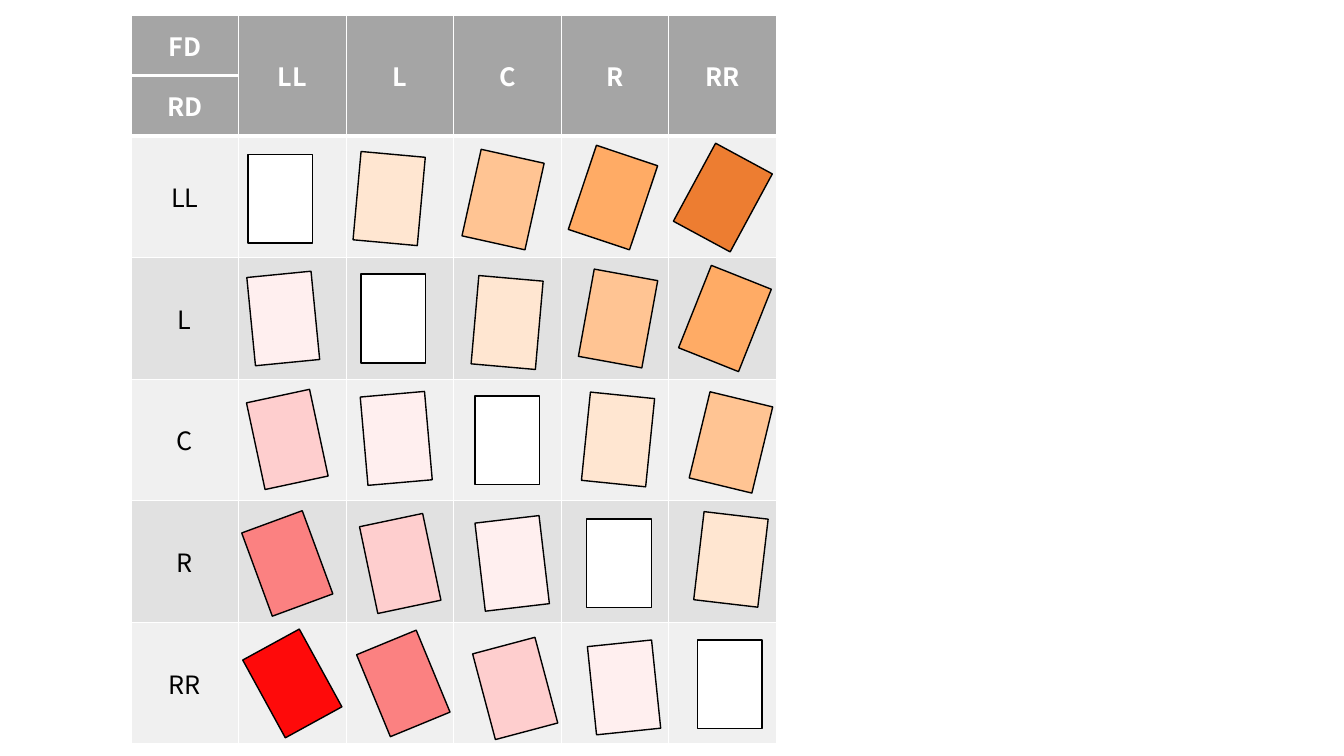
"""Build a slide with a matrix of FD and RD levels holding tilted, shaded cards."""
from typing import NamedTuple

from lxml.etree import SubElement
from pptx import Presentation
from pptx.dml.color import RGBColor
from pptx.enum.shapes import MSO_SHAPE as Shape
from pptx.enum.text import MSO_ANCHOR as Anchor, PP_ALIGN as Align
from pptx.oxml.ns import qn
from pptx.util import Inches, Pt

LEVELS = ["LL", "L", "C", "R", "RR"]
HEADER_ROWS = 2
HEADER_FILL = "A5A5A5"
BAND_FILLS = ["F0F0F0", "E1E1E1"]
MATRIX_LEFT, MATRIX_TOP = 1.3, 0.15
MATRIX_WIDTH, MATRIX_HEIGHT = 6.4, 7.23
HEADER_HEIGHT = 0.6
CARD_WIDTH, CARD_HEIGHT = 0.64, 0.88
CARD_FILLS = {
    -4: "FE0A0A", -3: "FB8181", -2: "FECECE", -1: "FFEFEF", 0: "FFFFFF",
    1: "FFE6D1", 2: "FFC493", 3: "FFAB65", 4: "ED7D31",
}


class Card(NamedTuple):
    left: float
    top: float
    tilt: float = 0


CARD_ROWS = [
    [Card(2.46, 1.53), Card(3.54, 1.53, 5.2), Card(4.67, 1.54, 12.5),
     Card(5.76, 1.52, 18.5), Card(6.85, 1.52, 28.4)],
    [Card(2.49, 2.72, 354.4), Card(3.58, 2.72), Card(4.71, 2.76, 5),
     Card(5.81, 2.72, 10.3), Card(6.87, 2.72, 21.7)],
    [Card(2.53, 3.92, 347.9), Card(3.61, 3.91, 355), Card(4.71, 3.93),
     Card(5.81, 3.92, 5.8), Card(6.93, 3.95, 13.6)],
    [Card(2.53, 5.15, 339.8), Card(3.65, 5.15, 348.1), Card(4.76, 5.15, 353.3),
     Card(5.82, 5.15), Card(6.93, 5.11, 6.7)],
    [Card(2.58, 6.34, 331.3), Card(3.68, 6.34, 337.6), Card(4.79, 6.39, 345.1),
     Card(5.87, 6.38, 354.1), Card(6.92, 6.35)],
]


def color(hex_value: str) -> RGBColor:
    return RGBColor.from_string(hex_value)


def paint(target, hex_value: str) -> None:
    target.fill.solid()
    target.fill.fore_color.rgb = color(hex_value)


def set_borders(cell, bottom_width: float) -> None:
    properties = cell._tc.get_or_add_tcPr()
    widths = {"a:lnL": 1, "a:lnR": 1, "a:lnT": 1, "a:lnB": bottom_width}
    for tag, width in widths.items():
        border = SubElement(properties, qn(tag), w=str(Pt(width)))
        solid = SubElement(border, qn("a:solidFill"))
        SubElement(solid, qn("a:srgbClr"), val="FFFFFF")


def write_label(cell, label: str, is_header: bool) -> None:
    cell.text = label
    cell.vertical_anchor = Anchor.MIDDLE
    paragraph = cell.text_frame.paragraphs[0]
    paragraph.alignment = Align.CENTER
    font = paragraph.runs[0].font
    font_format = {"name": "Noto Sans CJK KR", "size": Pt(18), "bold": is_header}
    for attribute, value in font_format.items():
        setattr(font, attribute, value)
    font.color.rgb = color("FFFFFF" if is_header else "000000")


def draw_matrix(slide) -> None:
    row_count, column_count = HEADER_ROWS + len(LEVELS), 1 + len(LEVELS)
    matrix = slide.shapes.add_table(
        row_count, column_count, Inches(MATRIX_LEFT), Inches(MATRIX_TOP),
        Inches(MATRIX_WIDTH), Inches(MATRIX_HEIGHT)).table
    level_height = (MATRIX_HEIGHT - HEADER_ROWS * HEADER_HEIGHT) / len(LEVELS)
    for column in matrix.columns:
        column.width = Inches(MATRIX_WIDTH / column_count)
    for index, row in enumerate(matrix.rows):
        is_header = index < HEADER_ROWS
        row.height = Inches(HEADER_HEIGHT if is_header else level_height)
        band = BAND_FILLS[(index - HEADER_ROWS) % len(BAND_FILLS)]
        for cell in row.cells:
            set_borders(cell, 3 if is_header else 1)
            paint(cell, HEADER_FILL if is_header else band)
    for index, label in enumerate(["FD", "RD", *LEVELS]):
        write_label(matrix.cell(index, 0), label, index < HEADER_ROWS)
    for column, label in enumerate(LEVELS, start=1):
        matrix.cell(0, column).merge(matrix.cell(HEADER_ROWS - 1, column))
        write_label(matrix.cell(0, column), label, True)


def draw_card(shapes, card: Card, fill: str) -> None:
    tile = shapes.add_shape(
        Shape.RECTANGLE, Inches(card.left), Inches(card.top),
        Inches(CARD_WIDTH), Inches(CARD_HEIGHT))
    tile.rotation = card.tilt
    tile.shadow.inherit = False
    paint(tile, fill)
    tile.line.color.rgb = color("000000")
    tile.line.width = Pt(1)


def main() -> None:
    deck = Presentation()
    deck.slide_width, deck.slide_height = Inches(13.33), Inches(7.5)
    slide = deck.slides.add_slide(deck.slide_layouts.get_by_name("Blank"))
    draw_matrix(slide)
    cards = slide.shapes.add_group_shape().shapes
    for rear, card_row in enumerate(CARD_ROWS):
        for front, card in enumerate(card_row):
            draw_card(cards, card, CARD_FILLS[front - rear])
    deck.save("out.pptx")


if __name__ == "__main__":
    main()
